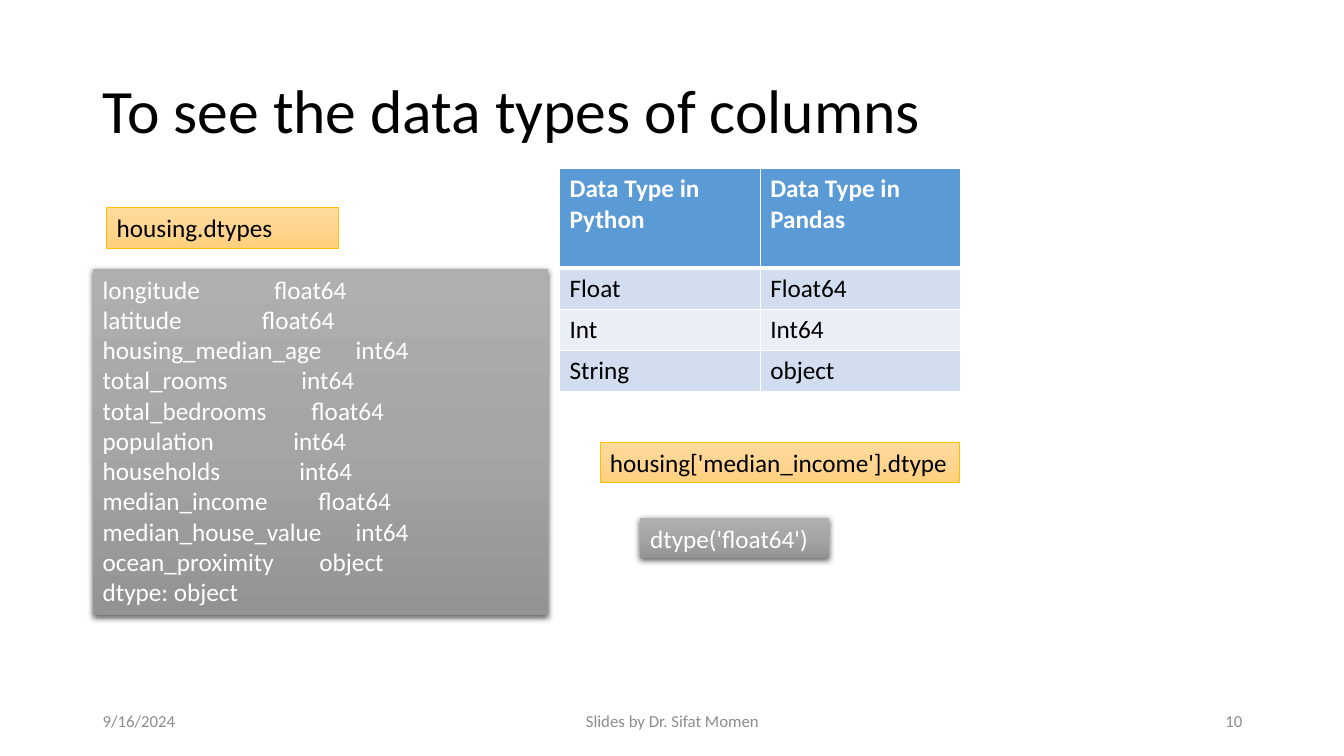
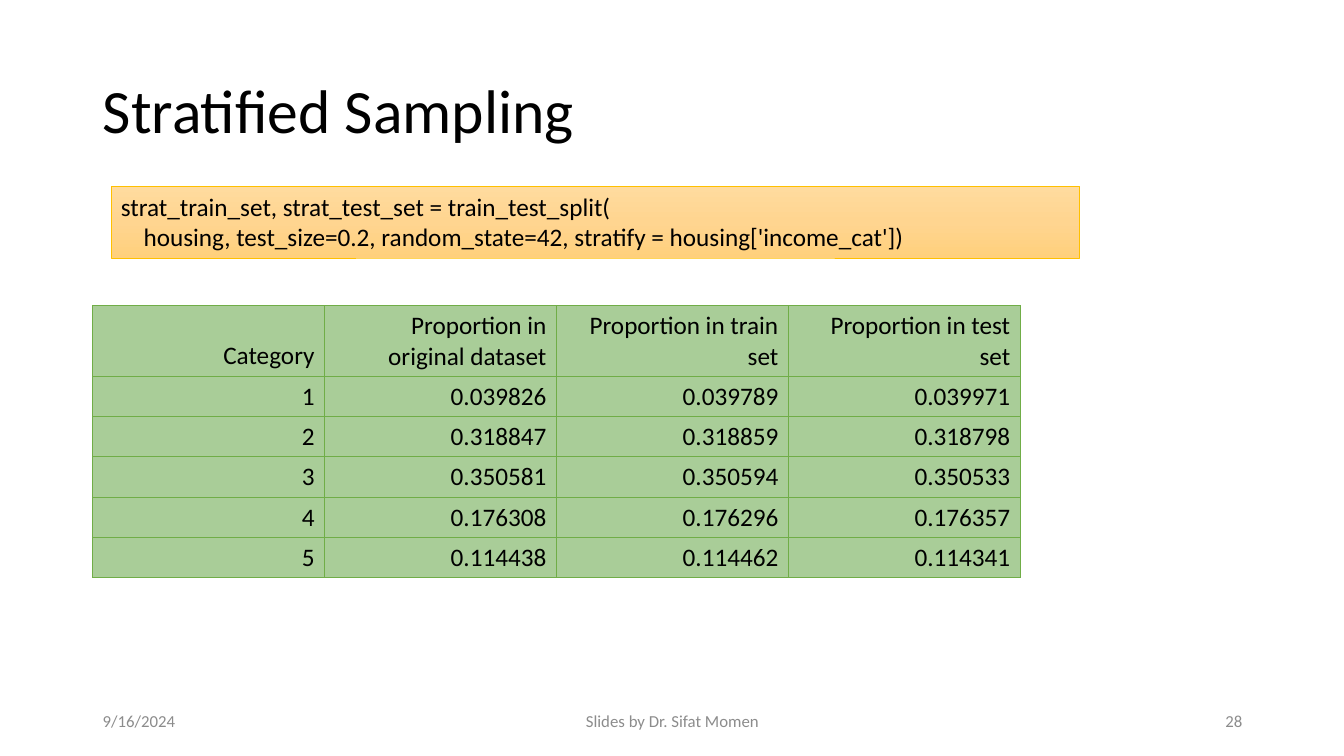
from copy import deepcopy

from lxml.etree import SubElement
from pptx import Presentation
from pptx.dml.color import RGBColor
from pptx.enum.shapes import MSO_SHAPE as Shape
from pptx.enum.text import MSO_ANCHOR as Anchor, MSO_AUTO_SIZE as AutoSize, PP_ALIGN as Align
from pptx.oxml import parse_xml
from pptx.oxml.ns import nsdecls, qn
from pptx.util import Inches, Pt

BLACK = RGBColor(0x00, 0x00, 0x00)
WHITE = RGBColor(0xFF, 0xFF, 0xFF)
FOOTER_GRAY = RGBColor(0x8C, 0x8C, 0x8C)
GOLD = RGBColor(0xFF, 0xC0, 0x00)
BLUE = RGBColor(0x5B, 0x9B, 0xD5)
BLUE_BAND = RGBColor(0xD2, 0xDE, 0xEF)
BLUE_PALE = RGBColor(0xEA, 0xEF, 0xF7)
GREEN = RGBColor(0x70, 0xAD, 0x47)
GREEN_FILL = RGBColor(0xA9, 0xCD, 0x98)
CODE_STOPS = [RGBColor(0xFF, 0xDB, 0x9E), RGBColor(0xFF, 0xD5, 0x90), RGBColor(0xFF, 0xD0, 0x7C)]
OUTPUT_STOPS = [RGBColor(0xAF, 0xAF, 0xAF), RGBColor(0xA5, 0xA5, 0xA5), RGBColor(0x93, 0x93, 0x93)]

COLUMN_TYPES = [
    ("longitude", "float64", 1.7),
    ("latitude", "float64", 1.58),
    ("housing_median_age", "int64", 2.51),
    ("total_rooms", "int64", 1.97),
    ("total_bedrooms", "float64", 2.07),
    ("population", "int64", 1.89),
    ("households", "int64", 1.95),
    ("median_income", "float64", 2.14),
    ("median_house_value", "int64", 2.51),
    ("ocean_proximity", "object", 2.15),
]
TYPE_NAMES = [
    ["Data Type in Python", "Data Type in Pandas"],
    ["Float", "Float64"],
    ["Int", "Int64"],
    ["String", "object"],
]
PROPORTIONS = [
    ["Category", "Proportion in original dataset", "Proportion in train set", "Proportion in test set"],
    ["1", "0.039826", "0.039789", "0.039971"],
    ["2", "0.318847", "0.318859", "0.318798"],
    ["3", "0.350581", "0.350594", "0.350533"],
    ["4", "0.176308", "0.176296", "0.176357"],
    ["5", "0.114438", "0.114462", "0.114341"],
]


class Lecture:
    font = "Calibri"
    body_size = 18

    def __init__(self):
        self.deck = Presentation()
        self.deck.slide_width = Inches(13.33)
        self.deck.slide_height = Inches(7.5)
        self.page = None

    def format_text(self, frame, size, color, align=Align.LEFT, bold=False):
        for para in frame.paragraphs:
            para.alignment = align
            for span in para.runs:
                span.font.name = self.font
                span.font.size = Pt(size)
                span.font.bold = bold
                span.font.color.rgb = color

    def add_page(self, title, number):
        self.page = self.deck.slides.add_slide(self.deck.slide_layouts[5])
        heading = self.page.shapes.title
        heading.left, heading.top = Inches(0.92), Inches(0.4)
        heading.width, heading.height = Inches(11.5), Inches(1.45)
        frame = heading.text_frame
        frame.text = title
        frame.auto_size = AutoSize.NONE
        frame.vertical_anchor = Anchor.MIDDLE
        frame.paragraphs[0].line_spacing = 0.9
        self.format_text(frame, 44, BLACK)
        self.footer("9/16/2024", 0.92, 3, Align.LEFT)
        self.footer("Slides by Dr. Sifat Momen", 4.42, 4.5, Align.CENTER)
        self.footer(str(number), 9.42, 3, Align.RIGHT)

    def footer(self, text, left, width, align):
        box = self.page.shapes.add_textbox(Inches(left), Inches(6.95), Inches(width), Inches(0.4))
        frame = box.text_frame
        frame.text = text
        frame.word_wrap = True
        frame.vertical_anchor = Anchor.MIDDLE
        self.format_text(frame, 12, FOOTER_GRAY, align)

    def panel(self, lines, left, top, width, height, stops, color):
        box = self.page.shapes.add_shape(
            Shape.RECTANGLE, Inches(left), Inches(top), Inches(width), Inches(height))
        box.shadow.inherit = False
        box.fill.gradient()
        box.fill.gradient_angle = 270
        stop_list = box._element.spPr.find(".//" + qn("a:gsLst"))
        stop_list.insert(1, deepcopy(stop_list[0]))
        for index, (stop, shade) in enumerate(zip(box.fill.gradient_stops, stops)):
            stop.position = index / 2
            stop.color.rgb = shade
        frame = box.text_frame
        frame.text = "\n".join(lines)
        frame.word_wrap = True
        frame.auto_size = AutoSize.SHAPE_TO_FIT_TEXT
        frame.vertical_anchor = Anchor.TOP
        self.format_text(frame, self.body_size, color)
        return box

    def code(self, lines, left, top, width, height):
        box = self.panel(lines, left, top, width, height, CODE_STOPS, BLACK)
        box.line.color.rgb = GOLD
        box.line.width = Pt(0.5)

    def output(self, lines, left, top, width, height, tab_stops=()):
        box = self.panel(lines, left, top, width, height, OUTPUT_STOPS, WHITE)
        box.line.fill.background()
        box._element.spPr.find(qn("a:effectLst")).append(parse_xml(
            f'<a:outerShdw {nsdecls("a")} blurRad="{Pt(4.5)}" dist="{Pt(1.5)}" dir="5400000"'
            ' algn="ctr" rotWithShape="0"><a:srgbClr val="000000"><a:alpha val="63000"/>'
            '</a:srgbClr></a:outerShdw>'))
        for para, position in zip(box.text_frame.paragraphs, tab_stops):
            tabs = SubElement(para._p.get_or_add_pPr(), qn("a:tabLst"))
            SubElement(tabs, qn("a:tab"), pos=str(Inches(position)), algn="l")

    def borders(self, cell, color, left, right, top, bottom):
        properties = cell._tc.get_or_add_tcPr()
        for index, (side, width) in enumerate(zip("LRTB", (left, right, top, bottom))):
            properties.insert(index, parse_xml(
                f'<a:ln{side} {nsdecls("a")} w="{Pt(width)}"><a:solidFill>'
                f'<a:srgbClr val="{color}"/></a:solidFill></a:ln{side}>'))

    def table(self, rows, left, top, column_width, heights, fills, border, thin, thick,
              head_color=BLACK, head_bold=False, align=Align.LEFT, anchor=Anchor.TOP):
        columns = len(rows[0])
        table = self.page.shapes.add_table(
            len(rows), columns, Inches(left), Inches(top),
            Inches(column_width * columns), Inches(sum(heights))).table
        table.first_row = table.horz_banding = False
        for column in table.columns:
            column.width = Inches(column_width)
        for index, (row, height, fill) in enumerate(zip(rows, heights, fills)):
            table.rows[index].height = Inches(height)
            is_head = index == 0
            for position, text in enumerate(row):
                cell = table.cell(index, position)
                cell.text_frame.text = text
                cell.vertical_anchor = anchor
                cell.fill.solid()
                cell.fill.fore_color.rgb = fill
                self.borders(cell, border, thin, thin,
                             thick if index == 1 else thin, thick if is_head else thin)
                self.format_text(cell.text_frame, self.body_size,
                                 head_color if is_head else BLACK, align, is_head and head_bold)


def main():
    lecture = Lecture()

    lecture.add_page("To see the data types of columns", 10)
    lecture.code(["housing.dtypes"], 1.06, 2.06, 2.3, 0.4)
    listing = [f"{name}\t{kind}" for name, kind, _ in COLUMN_TYPES] + ["dtype: object"]
    lecture.output(listing, 0.92, 2.67, 4.52, 3.43, [stop for _, _, stop in COLUMN_TYPES])
    lecture.table(TYPE_NAMES, 5.55, 1.67, 1.99, [0.99] + [0.41] * 3,
                  [BLUE, BLUE_BAND, BLUE_PALE, BLUE_BAND], WHITE, 1, 3,
                  head_color=WHITE, head_bold=True)
    lecture.code(["housing['median_income'].dtype"], 5.95, 4.39, 3.57, 0.4)
    lecture.output(["dtype('float64')"], 6.35, 5.14, 1.87, 0.4)

    lecture.add_page("Stratified Sampling", 28)
    lecture.code(["strat_train_set, strat_test_set = train_test_split(",
                  "    housing, test_size=0.2, random_state=42, stratify = housing['income_cat'])"],
                 1.1, 1.85, 9.61, 0.71)
    lecture.table(PROPORTIONS, 0.92, 3.03, 2.3, [0.7] + [0.4] * 5, [GREEN_FILL] * 6,
                  GREEN, 0.5, 0.5, align=Align.RIGHT, anchor=Anchor.BOTTOM)

    lecture.deck.save("out.pptx")


if __name__ == "__main__":
    main()
